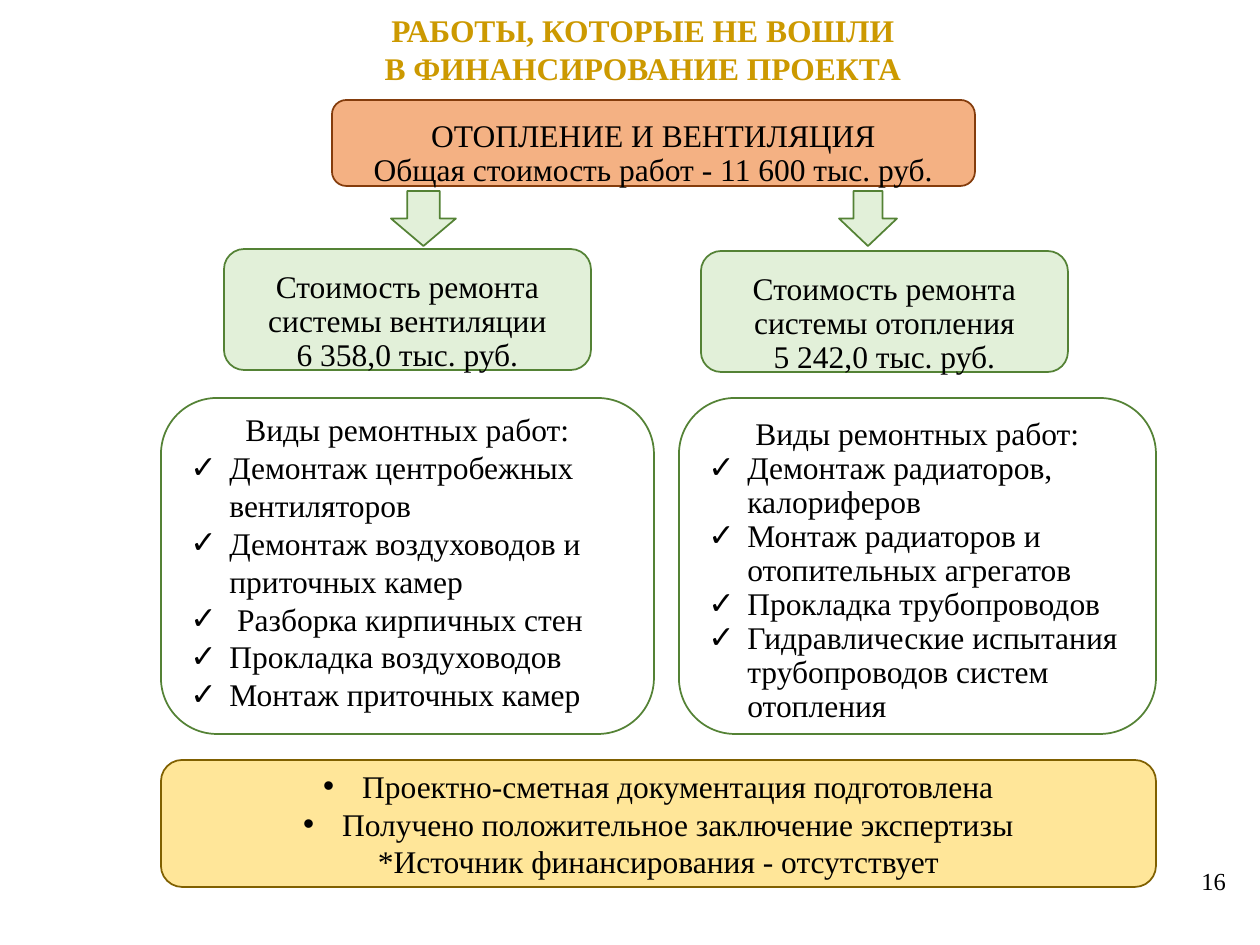
from dataclasses import dataclass
from lxml import etree
from pptx import Presentation, util as u
from pptx.dml.color import RGBColor
from pptx.enum import shapes, text
from pptx.oxml.ns import qn


@dataclass(frozen=True)
class Theme:
    font: str = "Times New Roman"
    body: int = 18
    small: int = 14
    ink: str = "000000"
    gold: str = "CC9900"
    white: tuple = ("FFFFFF", "548235")
    green: tuple = ("E2F0D9", "548235")
    amber: tuple = ("FFE699", "806000")
    coral: tuple = ("F4B183", "843C0C")


T = Theme()
SCALE = 914400 / 126
PAD = 13
HANG = 39
TIGHT = 0.9
TICK, DOT = "✓", "•"

TITLE = ["РАБОТЫ, КОТОРЫЕ НЕ ВОШЛИ", "В ФИНАНСИРОВАНИЕ ПРОЕКТА"]
TOTAL = ["ОТОПЛЕНИЕ И ВЕНТИЛЯЦИЯ", "Общая стоимость работ - 11 600 тыс. руб."]
COSTS = [
    ((224, 249), ["Стоимость ремонта системы вентиляции", "6 358,0 тыс. руб."]),
    ((701, 251), ["Стоимость ремонта системы отопления", "5 242,0 тыс. руб."]),
]
WORKS = "Виды ремонтных работ:"
LISTS = [
    (161, 493, 0, 1, [
        "Демонтаж центробежных вентиляторов",
        "Демонтаж воздуховодов и приточных камер",
        " Разборка кирпичных стен",
        "Прокладка воздуховодов",
        "Монтаж приточных камер",
    ]),
    (679, 477, 4, TIGHT, [
        "Демонтаж радиаторов, калориферов",
        "Монтаж радиаторов и отопительных агрегатов",
        "Прокладка трубопроводов",
        "Гидравлические испытания трубопроводов систем отопления",
    ]),
]
STATUS = [
    ("Проектно-сметная документация подготовлена", DOT),
    ("Получено положительное заключение экспертизы", DOT),
    ("*Источник финансирования - отсутствует", None),
]
ARROWS = [(391, 65), (839, 58)]
PAGE = "16"

MID, LEFT, RIGHT = text.PP_ALIGN.CENTER, text.PP_ALIGN.LEFT, text.PP_ALIGN.RIGHT


def px(n):
    return u.Emu(round(n * SCALE))


def paint(shape, look):
    fill, line = look
    shape.shadow.inherit = False
    shape.fill.solid()
    shape.fill.fore_color.rgb = RGBColor.from_string(fill)
    shape.line.color.rgb = RGBColor.from_string(line)
    shape.line.width = u.Pt(1)


def write(shape, rows, top=None, size=T.body, ink=T.ink, bold=False):
    frame = shape.text_frame
    frame.word_wrap = True
    frame.auto_size = text.MSO_AUTO_SIZE.NONE
    frame.margin_left = frame.margin_right = px(PAD)
    frame.margin_top = px(6 if top is None else top)
    frame.margin_bottom = px(0 if top is not None else 6)
    anchor = text.MSO_ANCHOR
    frame.vertical_anchor = anchor.MIDDLE if top is None else anchor.TOP
    for i, (words, align, space, mark) in enumerate(rows):
        para = frame.paragraphs[0] if i == 0 else frame.add_paragraph()
        para.text = words
        para.alignment = align
        para.line_spacing = space
        para.space_before = u.Pt(0)
        if mark:
            props = para._p.get_or_add_pPr()
            props.set("marL", str(px(HANG)))
            props.set("indent", str(-px(HANG)))
            etree.SubElement(props, qn("a:buFont"), typeface="Arial")
            etree.SubElement(props, qn("a:buChar"), char=mark)
        font = para.font
        font.name, font.size, font.bold = T.font, u.Pt(size), bold
        font.color.rgb = RGBColor.from_string(ink)


def place(slide, kind, box, look):
    shape = slide.shapes.add_shape(kind, *map(px, box))
    paint(shape, look)
    return shape


def center(lines, space):
    return [(line, MID, space, None) for line in lines]


def main():
    deck = Presentation()
    deck.slide_width, deck.slide_height = px(1260), px(945)
    slide = deck.slides.add_slide(deck.slide_layouts[5])
    round_box = shapes.MSO_SHAPE.ROUNDED_RECTANGLE

    title = slide.shapes.title
    title.left, title.top, title.width, title.height = map(px, (165, 5, 956, 95))
    write(title, center(TITLE, 1), 6, ink=T.gold, bold=True)

    for left, wide, top, space, items in LISTS:
        box = place(slide, round_box, (left, 398, wide, 336), T.white)
        rows = center([WORKS], TIGHT)
        rows += [(item, LEFT, space, TICK) for item in items]
        write(box, rows, top)

    for (left, top), lines in COSTS:
        box = place(slide, round_box, (left, top, 367, 121), T.green)
        write(box, center(lines, TIGHT), 16)

    box = place(slide, round_box, (161, 760, 995, 127), T.amber)
    write(box, [(line, MID, 1, mark) for line, mark in STATUS])

    box = place(slide, round_box, (332, 100, 643, 86), T.coral)
    write(box, center(TOTAL, TIGHT), 16)

    for left, wide in ARROWS:
        place(slide, shapes.MSO_SHAPE.DOWN_ARROW, (left, 191, wide, 55), T.green)

    page = slide.shapes.add_textbox(*map(px, (955, 856, 284, 50)))
    write(page, [(PAGE, RIGHT, 1, None)], size=T.small)
    deck.save("out.pptx")


if __name__ == "__main__":
    main()
